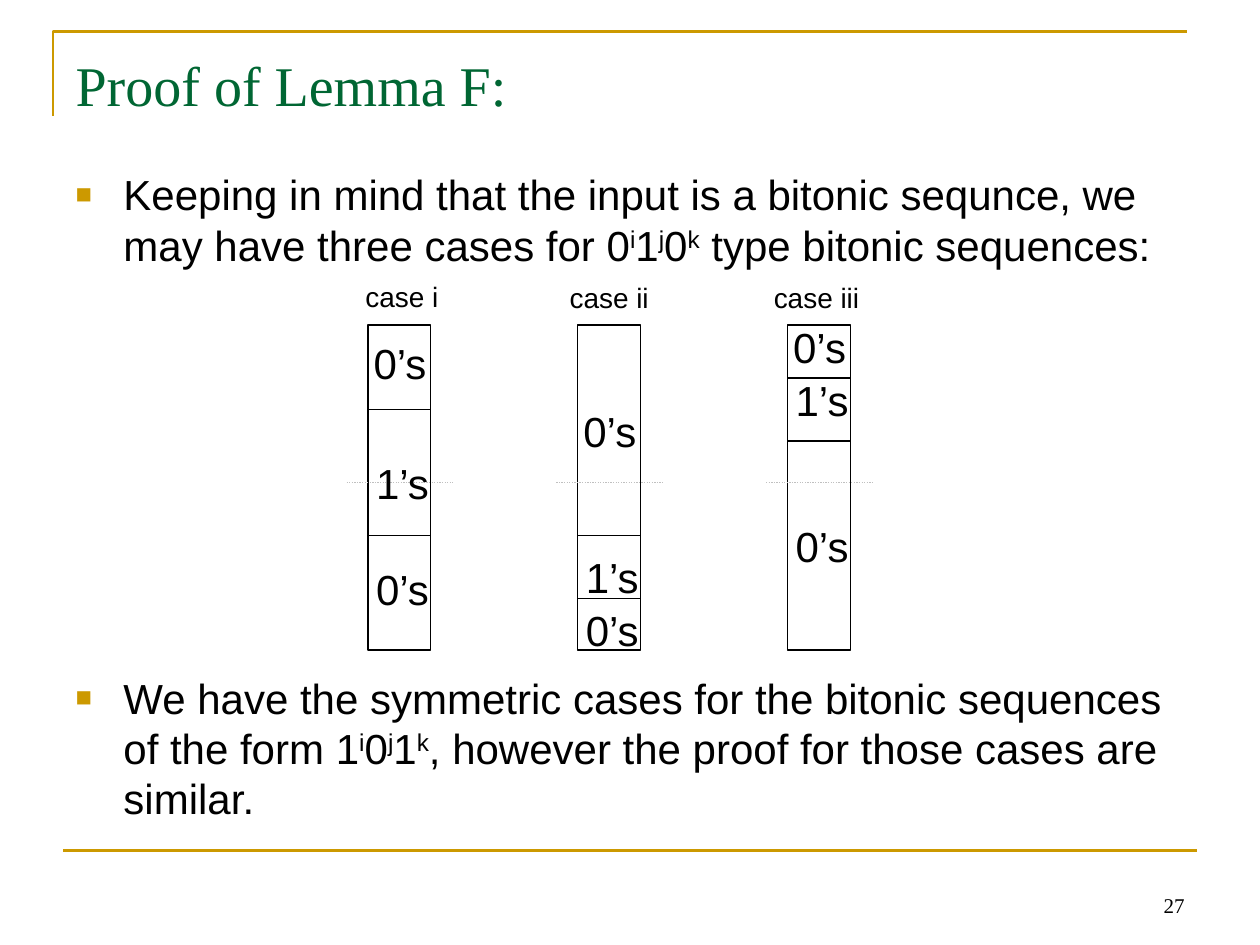
from lxml import etree
from pptx import Presentation
from pptx.dml.color import RGBColor
from pptx.enum.dml import MSO_LINE
from pptx.enum.shapes import MSO_CONNECTOR, MSO_SHAPE
from pptx.enum.text import MSO_ANCHOR, MSO_AUTO_SIZE, PP_ALIGN
from pptx.oxml.ns import qn
from pptx.util import Inches, Pt

STRAIGHT, RECTANGLE = MSO_CONNECTOR.STRAIGHT, MSO_SHAPE.RECTANGLE
TOP, BOTTOM = MSO_ANCHOR.TOP, MSO_ANCHOR.BOTTOM
LEFT, CENTER, RIGHT = PP_ALIGN.LEFT, PP_ALIGN.CENTER, PP_ALIGN.RIGHT
NO_FIT, GROW = MSO_AUTO_SIZE.NONE, MSO_AUTO_SIZE.SHAPE_TO_FIT_TEXT
DOTTED = MSO_LINE.ROUND_DOT

COLORS = {"gold": "CC9900", "green": "006633", "black": "000000", "gray": "C0C0C0"}

# Content: "^" marks the next character as a superscript
TITLE = "Proof of Lemma F:"
BULLETS = [
    ("Keeping in mind that the input is a bitonic sequnce, we may have "
     "three cases for 0^i1^j0^k type bitonic sequences:", 0),
    ("We have the symmetric cases for the bitonic sequences of the form "
     "1^i0^j1^k, however the proof for those cases are similar.", 230),
]
# Each case: name, name box (left, top, width), divider heights, (label, top)
CASES = [
    ("case i", (2.8, 2.17, 0.78), (3.25, 4.25),
     [("0’s", 2.63), ("1’s", 3.58), ("0’s", 4.42)]),
    ("case ii", (4.42, 2.18, 0.83), (4.25, 4.75),
     [("0’s", 3.17), ("1’s", 4.33), ("0’s", 4.75)]),
    ("case iii", (6.04, 2.18, 0.88), (3, 3.5),
     [("0’s", 2.5), ("1’s", 2.92), ("0’s", 4.08)]),
]
FIRST_BAR, BAR_STEP = 2.92, 1.665
BAR_TOP, BAR_WIDTH, BAR_HEIGHT = 2.58, 0.5, 2.58
MIDDLE, OVERHANG = 3.83, 0.17

deck = Presentation()
deck.slide_width, deck.slide_height = Inches(10), Inches(7.5)
page = deck.slides.add_slide(deck.slide_layouts[1])


def color(name):
    return RGBColor.from_string(COLORS[name])


def apply(target, **values):
    for name, value in values.items():
        setattr(target, name, value)


def place(box, left, top, width, height):
    apply(box, left=Inches(left), top=Inches(top),
          width=Inches(width), height=Inches(height))


def style(span, size, font="Arial", tint="black"):
    apply(span.font, size=Pt(size), name=font)
    span.font.color.rgb = color(tint)


def add_line(start, end, tint="black", width=0.75, dash=None):
    line = page.shapes.add_connector(
        STRAIGHT, *(Inches(value) for value in (*start, *end)))
    line.line.color.rgb = color(tint)
    apply(line.line, width=Pt(width), dash_style=dash)
    etree.SubElement(line._element.spPr, qn("a:effectLst"))


def add_text(text, left, top, width, height, size, font="Arial", align=CENTER,
             **frame_values):
    box = page.shapes.add_textbox(*map(Inches, (left, top, width, height)))
    apply(box.text_frame, **frame_values)
    para = box.text_frame.paragraphs[0]
    para.alignment = align
    span = para.add_run()
    span.text = text
    style(span, size, font)


def add_bullet(para):
    properties = para._p.get_or_add_pPr()
    properties.set("marL", str(Inches(0.38)))
    properties.set("indent", str(Inches(-0.38)))
    tint = etree.SubElement(properties, qn("a:buClr"))
    etree.SubElement(tint, qn("a:srgbClr"), val=COLORS["gold"])
    etree.SubElement(properties, qn("a:buSzPct"), val="65000")
    etree.SubElement(properties, qn("a:buFont"), typeface="Arial")
    etree.SubElement(properties, qn("a:buChar"), char="■")


def add_spans(para, text):
    first, *rest = text.split("^")
    pieces = [(first, False)]
    for part in rest:
        pieces += [(part[0], True), (part[1:], False)]
    for piece, raised in pieces:
        span = para.add_run()
        span.text = piece
        style(span, 24)
        if raised:
            span._r.get_or_add_rPr().set("baseline", "30000")


# Frame lines
builder = page.shapes.build_freeform(Inches(0.42), Inches(0.92))
builder.add_line_segments(
    [(Inches(0.42), Inches(0.25)), (Inches(9.42), Inches(0.25))], close=False)
corner = builder.convert_to_shape()
corner.shadow.inherit = False
corner.fill.background()
corner.line.color.rgb = color("gold")
corner.line.width = Pt(1.5)
add_line((0.5, 6.75), (9.5, 6.75), "gold", 1.5)

# Page number
add_text("27", 7.17, 6.83, 2.33, 0.5, 12, "Times New Roman", RIGHT,
         word_wrap=True, vertical_anchor=BOTTOM)

# Title
title = page.shapes.title
place(title, 0.5, 0.3, 9, 1.25)
apply(title.text_frame, text=TITLE, vertical_anchor=TOP, auto_size=NO_FIT,
      margin_top=Inches(0.1))
heading = title.text_frame.paragraphs[0]
heading.alignment = LEFT
style(heading.runs[0], 32, "Times New Roman", "green")

# Bullets, with room for the diagram between them
body = page.placeholders[1]
place(body, 0.5, 1.25, 9, 4.95)
frame = body.text_frame
apply(frame, vertical_anchor=TOP, auto_size=NO_FIT, margin_top=Inches(0.09))
for number, (text, gap) in enumerate(BULLETS):
    para = frame.paragraphs[0] if number == 0 else frame.add_paragraph()
    add_bullet(para)
    para.space_before = Pt(gap)
    add_spans(para, text)

# Case diagrams
for number, (name, (name_left, name_top, name_width), dividers, labels) in enumerate(CASES):
    left = FIRST_BAR + number * BAR_STEP
    right = left + BAR_WIDTH
    bar = page.shapes.add_shape(
        RECTANGLE, *map(Inches, (left, BAR_TOP, BAR_WIDTH, BAR_HEIGHT)))
    bar.shadow.inherit = False
    bar.fill.background()
    bar.line.color.rgb = color("black")
    bar.line.width = Pt(0.75)
    add_line((left - OVERHANG, MIDDLE), (right + OVERHANG, MIDDLE), "gray", dash=DOTTED)
    for height in dividers:
        add_line((left, height), (right, height))
    for order, (label, top) in enumerate(labels):
        shift = 0.06 if order == 0 else 0.04
        add_text(label, left - shift, top, 0.63, 0.5, 24,
                 word_wrap=False, auto_size=GROW)
    add_text(name, name_left, name_top, name_width, 0.37, 16,
             word_wrap=False, auto_size=GROW)

deck.save("out.pptx")
